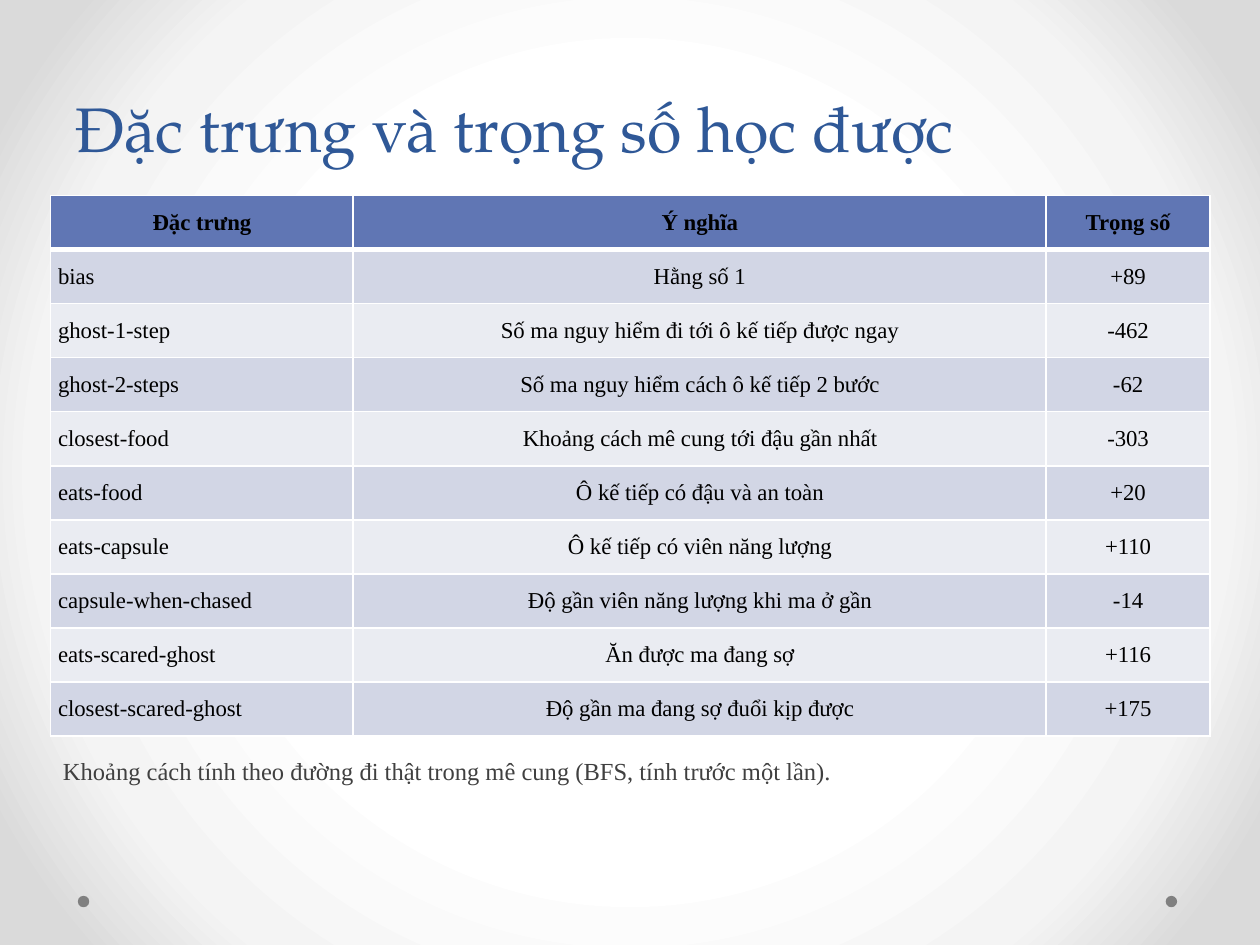
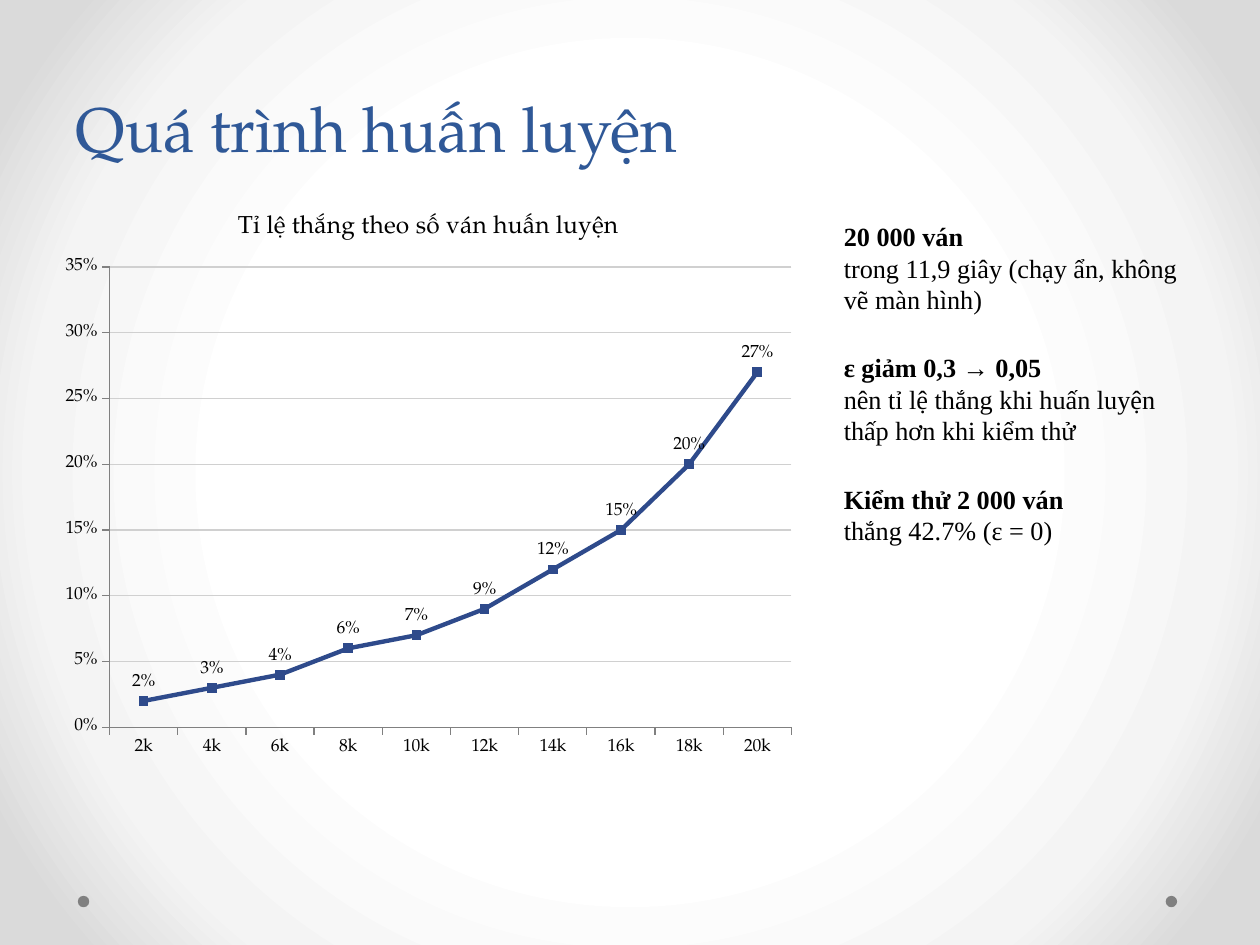
from lxml import etree
from pptx import Presentation
from pptx.chart.data import CategoryChartData
from pptx.dml.color import RGBColor
from pptx.enum.chart import XL_CHART_TYPE as ChartType, XL_LABEL_POSITION as LabelPosition
from pptx.enum.chart import XL_MARKER_STYLE as MarkerStyle, XL_TICK_MARK as TickMark
from pptx.enum.shapes import MSO_SHAPE as ShapeType
from pptx.enum.text import MSO_ANCHOR as Anchor, MSO_AUTO_SIZE as AutoSize, PP_ALIGN as Align
from pptx.oxml import parse_xml
from pptx.oxml.ns import nsdecls, qn
from pptx.util import Cm, Pt

COLORS = {
    "title": "2F5897", "text": "000000", "note": "404040", "dot": "808080",
    "header": "6076B4", "odd_row": "D2D6E5", "even_row": "EAECF2", "border": "FFFFFF",
    "line": "2E4A8B", "grid": "D0D0D0", "axis": "808080",
}
BACKGROUND_STOPS = [(50, "FFFFFF"), (76, "F4F4F4"), (92, "DADADA")]
HEADING_FONT = "TeX Gyre Pagella"
BODY_FONT = "Times New Roman"

FEATURES_TITLE = "Đặc trưng và trọng số học được"
FEATURE_ROWS = [
    ("Đặc trưng", "Ý nghĩa", "Trọng số"),
    ("bias", "Hằng số 1", "+89"),
    ("ghost-1-step", "Số ma nguy hiểm đi tới ô kế tiếp được ngay", "-462"),
    ("ghost-2-steps", "Số ma nguy hiểm cách ô kế tiếp 2 bước", "-62"),
    ("closest-food", "Khoảng cách mê cung tới đậu gần nhất", "-303"),
    ("eats-food", "Ô kế tiếp có đậu và an toàn", "+20"),
    ("eats-capsule", "Ô kế tiếp có viên năng lượng", "+110"),
    ("capsule-when-chased", "Độ gần viên năng lượng khi ma ở gần", "-14"),
    ("eats-scared-ghost", "Ăn được ma đang sợ", "+116"),
    ("closest-scared-ghost", "Độ gần ma đang sợ đuổi kịp được", "+175"),
]
FEATURE_COLUMNS = [Cm(6.1), Cm(13.97), Cm(3.3)]
FEATURE_NOTE = "Khoảng cách tính theo đường đi thật trong mê cung (BFS, tính trước một lần)."

TRAINING_TITLE = "Quá trình huấn luyện"
CHART_TITLE = "Tỉ lệ thắng theo số ván huấn luyện"
WIN_RATES = {
    "2k": 0.02, "4k": 0.03, "6k": 0.04, "8k": 0.06, "10k": 0.07,
    "12k": 0.09, "14k": 0.12, "16k": 0.15, "18k": 0.2, "20k": 0.27,
}
TRAINING_FACTS = [
    ("20 000 ván", "trong 11,9 giây (chạy ẩn, không vẽ màn hình)"),
    ("ε giảm 0,3 → 0,05", "nên tỉ lệ thắng khi huấn luyện thấp hơn khi kiểm thử"),
    ("Kiểm thử 2 000 ván", "thắng 42.7% (ε = 0)"),
]

CONTENT_LEFT = Cm(1.02)
CONTENT_WIDTH = Cm(23.37)


def rgb(name):
    return RGBColor.from_string(COLORS[name])


def style_font(font, size, color="text", name=BODY_FONT, bold=False):
    font.name = name
    font.size = Pt(size)
    font.bold = bold
    font.color.rgb = rgb(color)


def add_run(paragraph, text, size, **style):
    run = paragraph.add_run()
    run.text = text
    style_font(run.font, size, **style)


def set_master_background(master):
    """Give every slide a radial gradient, white in the middle."""
    master.background.fill.gradient()
    gradient = master.element.find(".//" + qn("p:bgPr")).find(qn("a:gradFill"))
    stops = "".join(
        f'<a:gs pos="{position * 1000}"><a:srgbClr val="{color}"/></a:gs>'
        for position, color in BACKGROUND_STOPS
    )
    radial = parse_xml(
        f'<a:gradFill {nsdecls("a")} rotWithShape="1"><a:gsLst>{stops}</a:gsLst>'
        '<a:path path="circle"><a:fillToRect l="50000" t="50000" r="50000" b="50000"/>'
        "</a:path></a:gradFill>"
    )
    gradient.getparent().replace(gradient, radial)


def add_titled_slide(presentation, title_text):
    """Add a slide with its title and the two footer dots."""
    slide = presentation.slides.add_slide(presentation.slide_layouts[5])
    for left in (Cm(1.57), Cm(23.5)):
        dot = slide.shapes.add_shape(ShapeType.OVAL, left, Cm(18.06), Cm(0.23), Cm(0.23))
        dot.shadow.inherit = False
        dot.fill.solid()
        dot.fill.fore_color.rgb = rgb("dot")
        dot.line.fill.background()

    title = slide.shapes.title
    title.left, title.top, title.width, title.height = Cm(1.27), Cm(0.91), Cm(22.86), Cm(2.54)
    frame = title.text_frame
    frame.auto_size = AutoSize.NONE
    frame.vertical_anchor = Anchor.BOTTOM
    paragraph = frame.paragraphs[0]
    paragraph.alignment = Align.LEFT
    paragraph.line_spacing = Pt(58)
    add_run(paragraph, title_text, 36, color="title", name=HEADING_FONT)
    return slide


def add_text_frame(slide, left, top, width, height):
    frame = slide.shapes.add_textbox(left, top, width, height).text_frame
    frame.word_wrap = True
    return frame


def set_borders(cell, bottom):
    properties = cell._tc.get_or_add_tcPr()
    widths = {"lnL": 1, "lnR": 1, "lnT": 1, "lnB": bottom}
    for index, (side, width) in enumerate(widths.items()):
        line = etree.Element(qn(f"a:{side}"), w=str(Pt(width)))
        fill = etree.SubElement(line, qn("a:solidFill"))
        etree.SubElement(fill, qn("a:srgbClr"), val=COLORS["border"])
        properties.insert(index, line)


def fill_cell(cell, text, row, column):
    is_header = row == 0
    cell.fill.solid()
    cell.fill.fore_color.rgb = rgb("header" if is_header else "odd_row" if row % 2 else "even_row")
    set_borders(cell, bottom=3 if is_header else 1)
    cell.margin_left = cell.margin_right = Cm(0.15)
    cell.margin_top = cell.margin_bottom = Cm(0.13)
    cell.vertical_anchor = Anchor.MIDDLE
    paragraph = cell.text_frame.paragraphs[0]
    paragraph.alignment = Align.CENTER if is_header or column > 0 else Align.LEFT
    add_run(paragraph, text, 13, bold=is_header)


def add_feature_table(slide):
    row_height = Cm(1.09)
    table = slide.shapes.add_table(
        len(FEATURE_ROWS), len(FEATURE_COLUMNS), CONTENT_LEFT, Cm(3.94),
        CONTENT_WIDTH, row_height * len(FEATURE_ROWS),
    ).table
    for column, width in zip(table.columns, FEATURE_COLUMNS):
        column.width = width
    for row, texts in enumerate(FEATURE_ROWS):
        table.rows[row].height = row_height
        for column, text in enumerate(texts):
            fill_cell(table.cell(row, column), text, row, column)


def add_win_rate_chart(slide):
    data = CategoryChartData()
    data.categories = list(WIN_RATES)
    data.add_series("Series 1", list(WIN_RATES.values()))
    chart = slide.shapes.add_chart(
        ChartType.LINE_MARKERS, CONTENT_LEFT, Cm(3.81), Cm(15.24), Cm(11.68), data
    ).chart
    style_font(chart.font, 18, name=HEADING_FONT)
    chart.has_legend = False
    chart.has_title = True
    add_run(chart.chart_title.text_frame.paragraphs[0], CHART_TITLE, 14, name=HEADING_FONT)
    chart.chart_title.include_in_layout = False

    for axis in (chart.category_axis, chart.value_axis):
        axis.major_tick_mark = TickMark.OUTSIDE
        axis.format.line.color.rgb = rgb("axis")
        style_font(axis.tick_labels.font, 10, name=HEADING_FONT)
    value_axis = chart.value_axis
    value_axis.minimum_scale, value_axis.maximum_scale = 0, 0.35
    value_axis.major_unit = 0.05
    value_axis.tick_labels.number_format = "0%"
    value_axis.tick_labels.number_format_is_linked = False
    value_axis.major_gridlines.format.line.color.rgb = rgb("grid")
    value_axis.major_gridlines.format.line.width = Pt(0.75)

    plot = chart.plots[0]
    plot.vary_by_categories = False
    series = plot.series[0]
    series.smooth = False
    series.format.line.color.rgb = rgb("line")
    series.format.line.width = Pt(2.5)
    series.marker.style = MarkerStyle.SQUARE
    series.marker.size = 5
    series.marker.format.fill.solid()
    series.marker.format.fill.fore_color.rgb = rgb("line")
    series.marker.format.line.color.rgb = rgb("line")
    labels = series.data_labels
    labels.show_value = True
    labels.position = LabelPosition.ABOVE
    labels.number_format = "0%"
    labels.number_format_is_linked = False
    style_font(labels.font, 10, name=HEADING_FONT)


def add_training_facts(slide):
    frame = add_text_frame(slide, Cm(16.76), Cm(4.32), Cm(7.62), Cm(11.18))
    for index, (heading, detail) in enumerate(TRAINING_FACTS):
        paragraph = frame.add_paragraph() if index else frame.paragraphs[0]
        if index:
            paragraph.space_before = Pt(21)
        add_run(paragraph, heading, 15, bold=True)
        add_run(frame.add_paragraph(), detail, 15)


def main():
    presentation = Presentation()
    presentation.slide_width, presentation.slide_height = Cm(25.4), Cm(19.05)
    set_master_background(presentation.slide_master)

    features = add_titled_slide(presentation, FEATURES_TITLE)
    add_feature_table(features)
    note = add_text_frame(features, CONTENT_LEFT, Cm(15.11), CONTENT_WIDTH, Cm(1.52))
    add_run(note.paragraphs[0], FEATURE_NOTE, 14, color="note")

    training = add_titled_slide(presentation, TRAINING_TITLE)
    add_win_rate_chart(training)
    add_training_facts(training)

    presentation.save("out.pptx")


if __name__ == "__main__":
    main()
